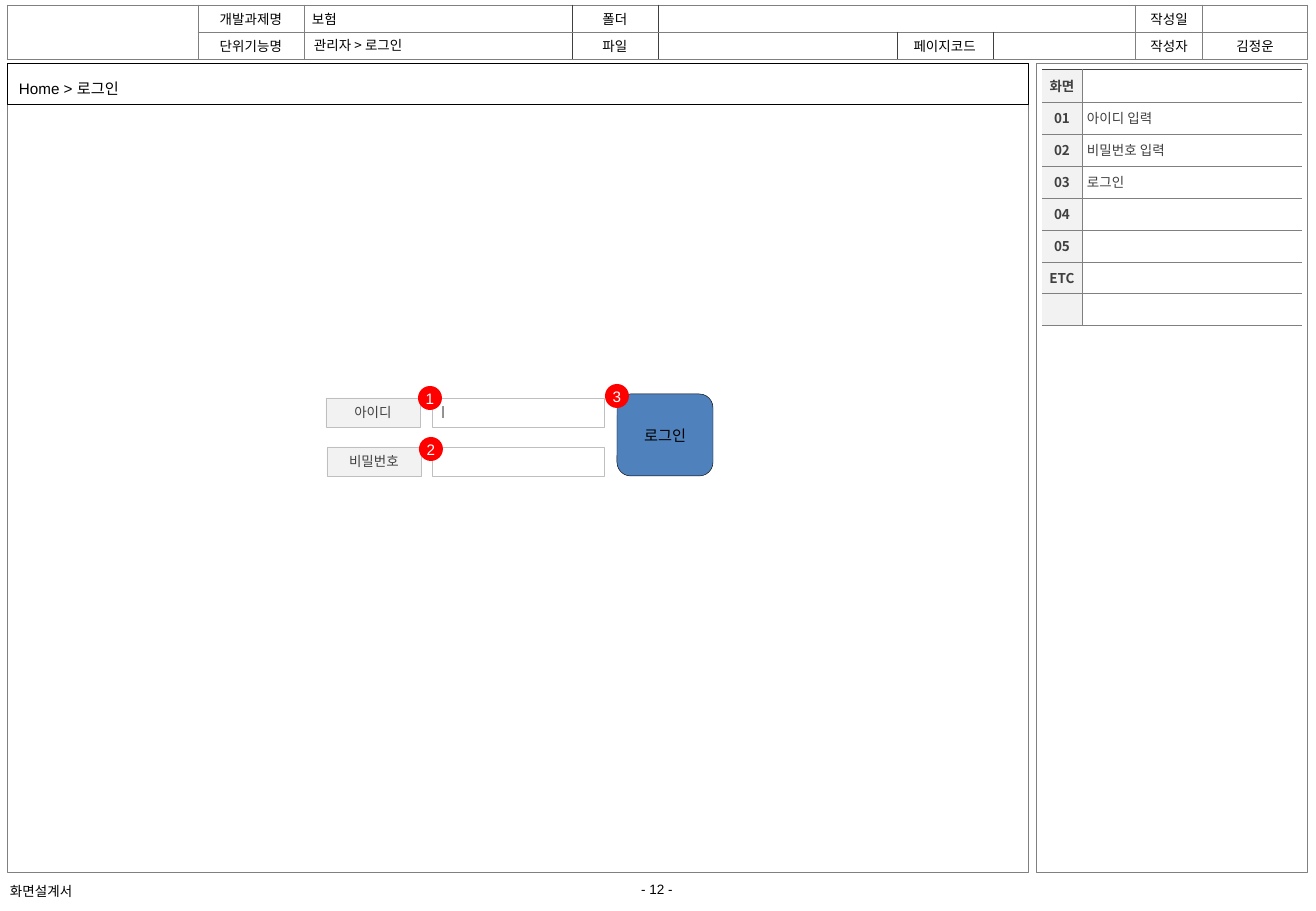
from dataclasses import dataclass

from lxml import etree
from pptx import Presentation
from pptx import util as u
from pptx.dml.color import RGBColor
from pptx.enum import shapes, text
from pptx.oxml.ns import qn

PX = 7526
LEFT, CENTER = text.PP_ALIGN.LEFT, text.PP_ALIGN.CENTER
RECT = shapes.MSO_SHAPE.RECTANGLE


@dataclass(frozen=True)
class Theme:
    """Colours, fonts and type sizes of the screen specification."""
    latin: str = "Arial"
    korean: str = "Noto Sans CJK KR"
    small: int = 8
    body: int = 9
    ink: str = "000000"
    soft_ink: str = "404040"
    rule: str = "808080"
    field_rule: str = "BFBFBF"
    panel: str = "F2F2F2"
    paper: str = "FFFFFF"
    button: str = "4F81BD"
    badge: str = "FF0000"


THEME = Theme()

HEADER_WIDTHS = [191, 106, 268, 86, 239, 96, 143, 67, 105]
HEADER_ROWS = [
    ["", "개발과제명", "보험", "폴더", "", "", "", "작성일", ""],
    ["", "단위기능명", "", "파일", "", "페이지코드", "", "작성자", "김정운"],
]
NOTES = [
    ("화면", ""), ("01", "아이디 입력"), ("02", "비밀번호 입력"), ("03", "로그인"),
    ("04", ""), ("05", ""), ("ETC", ""), ("", ""),
]
FIELDS = [(326, 398, "아이디", "ㅣ"), (327, 447, "비밀번호", "")]
BADGES = [(605, 384, "3"), (419, 437, "2"), (418, 386, "1")]


def px(*lengths):
    """Convert px lengths to EMU."""
    return [u.Emu(length * PX) for length in lengths]


def write(frame, words, font=THEME.korean, size=THEME.small, color=THEME.ink,
          align=CENTER, bold=False):
    """Write one formatted paragraph into a text frame."""
    paragraph = frame.paragraphs[0]
    paragraph.text = words
    paragraph.alignment = align
    paragraph.font.size = u.Pt(size)
    paragraph.font.bold = bold
    paragraph.font.color.rgb = RGBColor.from_string(color)
    paragraph.font.name = font
    defaults = paragraph._p.pPr.find(qn("a:defRPr"))
    etree.SubElement(defaults, qn("a:ea"), typeface=THEME.korean)
    if not words:
        etree.SubElement(paragraph._p, qn("a:endParaRPr"), sz=str(size * 100))
    return paragraph


def set_insets(holder, left, top, right, bottom):
    """Set the inner margins of a text frame or table cell."""
    holder.margin_left, holder.margin_top, holder.margin_right, holder.margin_bottom = px(
        left, top, right, bottom)


def add_box(slide, area, fill=None, line=None, width=0.25, kind=RECT, inset=12):
    """Add a flat preset shape and return it."""
    box = slide.shapes.add_shape(kind, *px(*area))
    box.shadow.inherit = False
    if fill:
        box.fill.solid()
        box.fill.fore_color.rgb = RGBColor.from_string(fill)
    else:
        box.fill.background()
    if line:
        box.line.color.rgb = RGBColor.from_string(line)
        box.line.width = u.Pt(width)
    else:
        box.line.fill.background()
    set_insets(box.text_frame, inset, 6, inset, 6)
    box.text_frame.word_wrap = True
    box.text_frame.vertical_anchor = text.MSO_ANCHOR.MIDDLE
    return box


def add_footer(slide, area, words, align):
    """Add a single unwrapped line below the frames."""
    frame = slide.shapes.add_textbox(*px(*area)).text_frame
    set_insets(frame, 12, 6, 12, 6)
    frame.word_wrap = False
    frame.auto_size = text.MSO_AUTO_SIZE.SHAPE_TO_FIT_TEXT
    write(frame, words, font=THEME.latin, align=align)


def add_grid(slide, left, top, widths, heights):
    """Add an unbanded table with the given column and row sizes."""
    area = px(left, top, sum(widths), sum(heights))
    grid = slide.shapes.add_table(len(heights), len(widths), *area).table
    grid.first_row = grid.horz_banding = False
    for column, width in zip(grid.columns, px(*widths)):
        column.width = width
    for row, height in zip(grid.rows, px(*heights)):
        row.height = height
    return grid


def style_cell(cell, insets, borders, fill=None):
    """Set fill, insets and the left, right, top and bottom borders of a cell."""
    set_insets(cell, *insets)
    cell.vertical_anchor = text.MSO_ANCHOR.MIDDLE
    if fill:
        cell.fill.solid()
        cell.fill.fore_color.rgb = RGBColor.from_string(fill)
    else:
        cell.fill.background()
    properties = cell._tc.get_or_add_tcPr()
    for order, (side, border) in enumerate(zip("LRTB", borders)):
        edge = etree.Element(qn(f"a:ln{side}"))
        if border:
            color, width = border
            edge.set("w", str(u.Pt(width)))
            paint = etree.SubElement(edge, qn("a:solidFill"))
            etree.SubElement(paint, qn("a:srgbClr"), val=color)
        else:
            etree.SubElement(edge, qn("a:noFill"))
        properties.insert(order, edge)


def add_header(slide):
    """Add the document header table."""
    grid = add_grid(slide, 7, 5, HEADER_WIDTHS, [27, 27])
    grid.cell(0, 0).merge(grid.cell(1, 0))
    grid.cell(0, 4).merge(grid.cell(0, 6))
    plain, dark = (THEME.rule, 0.5), (THEME.soft_ink, 0.25)
    for r, row in enumerate(HEADER_ROWS):
        for c, words in enumerate(row):
            cell = grid.cell(r, c)
            span = cell.span_width if cell.is_merge_origin else 1
            sides = [dark if 3 <= edge <= 6 else plain for edge in (c, c + span)]
            is_value = c == 2
            style_cell(cell, (8 if is_value else 5, 2, 5, 2), [*sides, plain, plain])
            write(cell.text_frame, words, align=LEFT if is_value else CENTER)


def add_notes(slide):
    """Add the numbered description table."""
    grid = add_grid(slide, 1042, 69, [40, 220], [33] + [32] * (len(NOTES) - 1))
    thin = (THEME.rule, 0.25)
    for r, (number, note) in enumerate(NOTES):
        above = thin if r else (THEME.soft_ink, 0.5)
        style_cell(grid.cell(r, 0), (0, 6, 0, 6), [None, thin, above, thin], THEME.panel)
        style_cell(grid.cell(r, 1), (5, 6, 0, 6), [thin, None, above, thin])
        write(grid.cell(r, 0).text_frame, number, color=THEME.soft_ink, bold=True)
        write(grid.cell(r, 1).text_frame, note, color=THEME.soft_ink, align=LEFT)


def place_title(slide):
    """Place the function name in the header with the title placeholder."""
    title = slide.shapes.title
    title.left, title.top, title.width, title.height = px(302, 31, 356, 29)
    frame = title.text_frame
    set_insets(frame, 12, 6, 12, 6)
    frame.auto_size = text.MSO_AUTO_SIZE.NONE
    frame.vertical_anchor = text.MSO_ANCHOR.MIDDLE
    write(frame, "관리자 > 로그인", align=LEFT)


def add_login_form(slide):
    """Add the labelled inputs, the login button and the numbered badges."""
    for left, top, label, entry in FIELDS:
        entry_box = add_box(slide, (432, top, 172, 29), THEME.paper, THEME.field_rule, inset=5)
        write(entry_box.text_frame, entry, color=THEME.soft_ink, align=LEFT)
        label_box = add_box(slide, (left, top, 94, 29), THEME.panel, THEME.field_rule)
        write(label_box.text_frame, label, color=THEME.soft_ink)
    login = add_box(slide, (617, 394, 96, 82), THEME.button, THEME.ink,
                    kind=shapes.MSO_SHAPE.ROUNDED_RECTANGLE)
    write(login.text_frame, "로그인", THEME.latin, THEME.body)
    for left, top, number in BADGES:
        badge = add_box(slide, (left, top, 24, 24), THEME.badge,
                        kind=shapes.MSO_SHAPE.OVAL, inset=0)
        write(badge.text_frame, number, THEME.latin, THEME.body, THEME.paper)


def main():
    """Build the login screen specification."""
    deck = Presentation()
    deck.slide_width, deck.slide_height = px(1316, 911)
    slide = deck.slides.add_slide(deck.slide_layouts[5])
    add_footer(slide, (626, 875, 62, 28), "- 12 -", CENTER)
    add_footer(slide, (-2, 877, 92, 29), "화면설계서", LEFT)
    add_box(slide, (1036, 63, 272, 810), THEME.paper, THEME.rule, 0.5)
    add_box(slide, (7, 63, 1021, 810), line=THEME.rule, width=0.5)
    add_header(slide)
    place_title(slide)
    add_notes(slide)
    breadcrumb = add_box(slide, (7, 63, 1021, 41), line=THEME.ink)
    write(breadcrumb.text_frame, "Home > 로그인", THEME.latin, THEME.body,
          align=LEFT).line_spacing = 1.5
    add_login_form(slide)
    deck.save("out.pptx")


if __name__ == "__main__":
    main()
